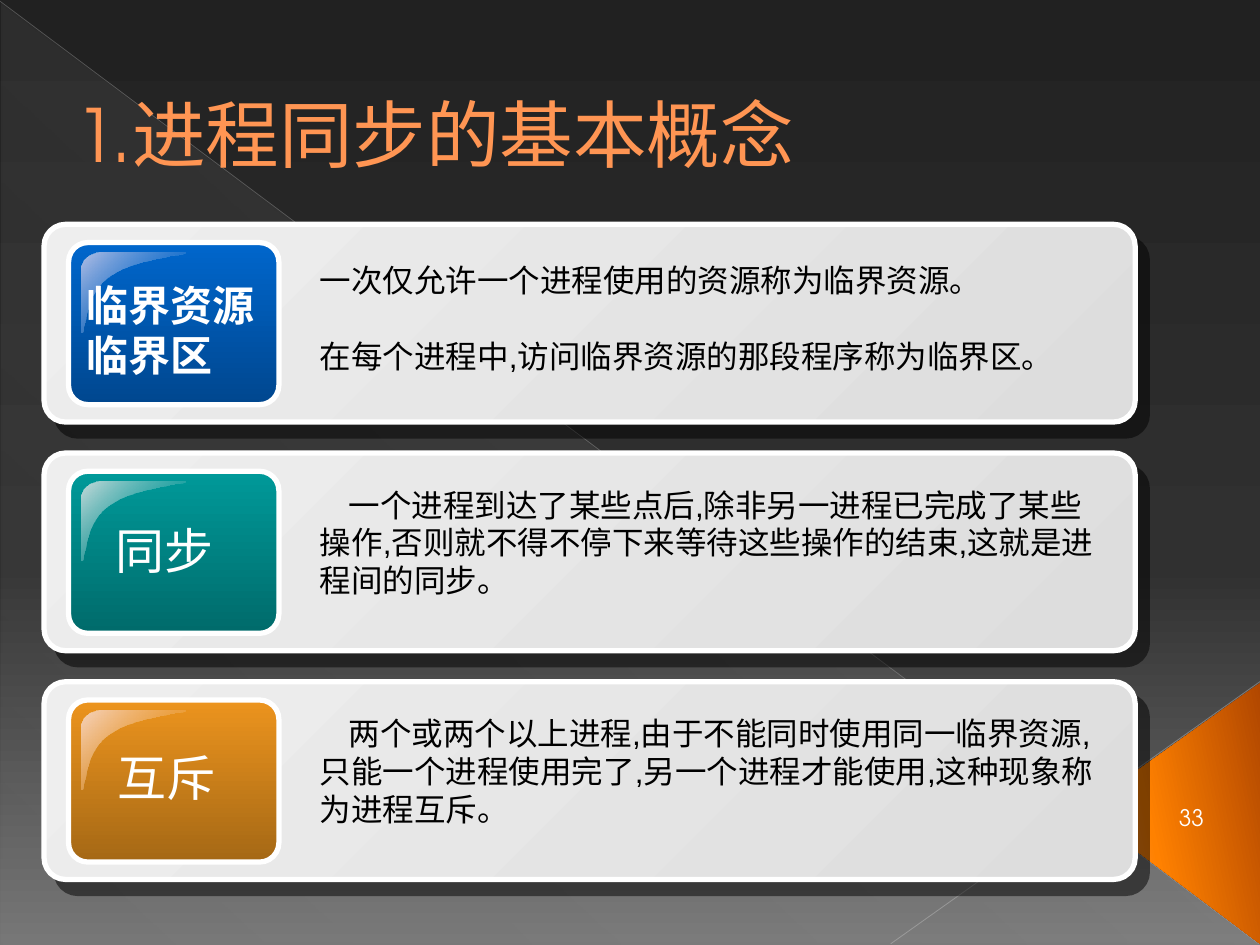
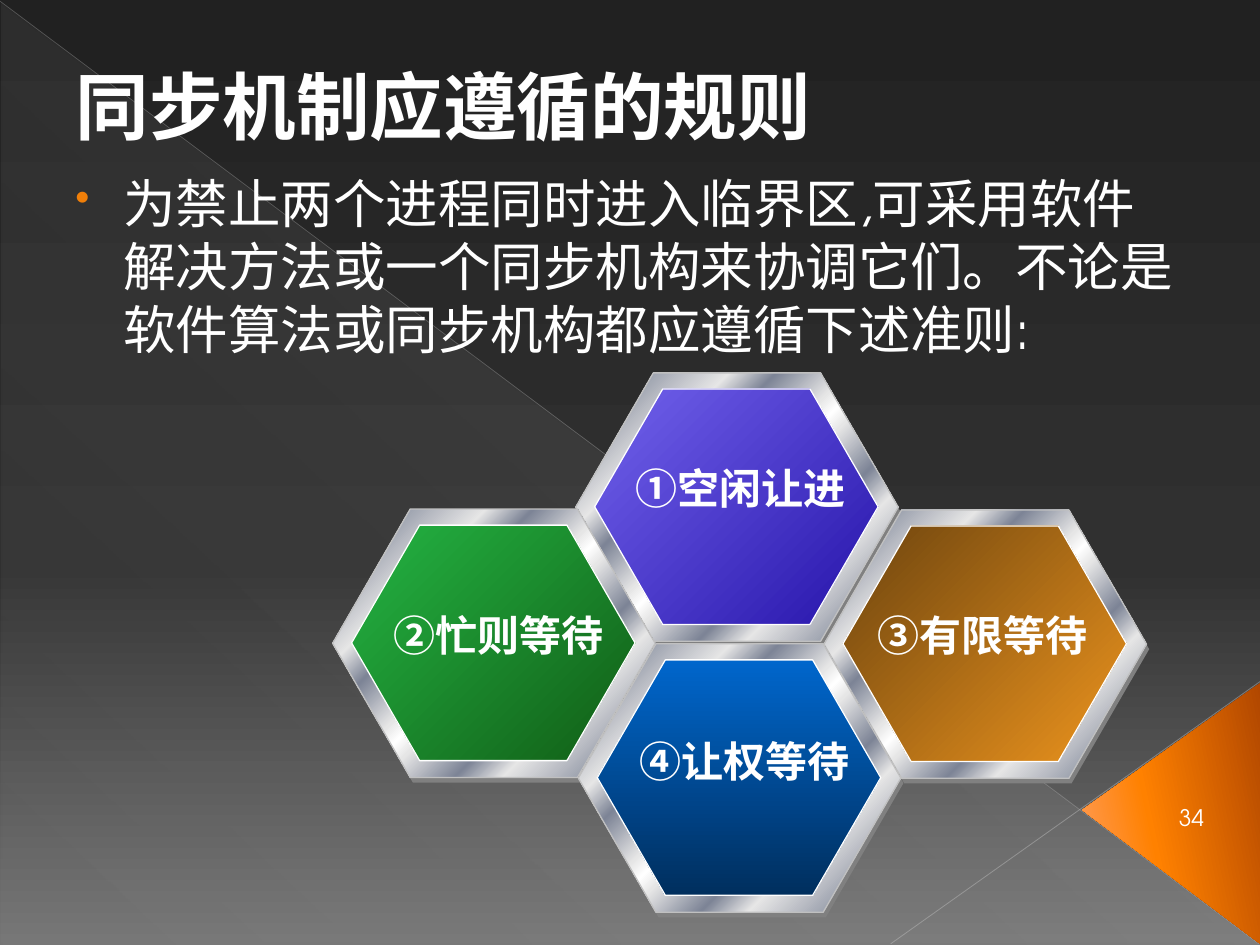
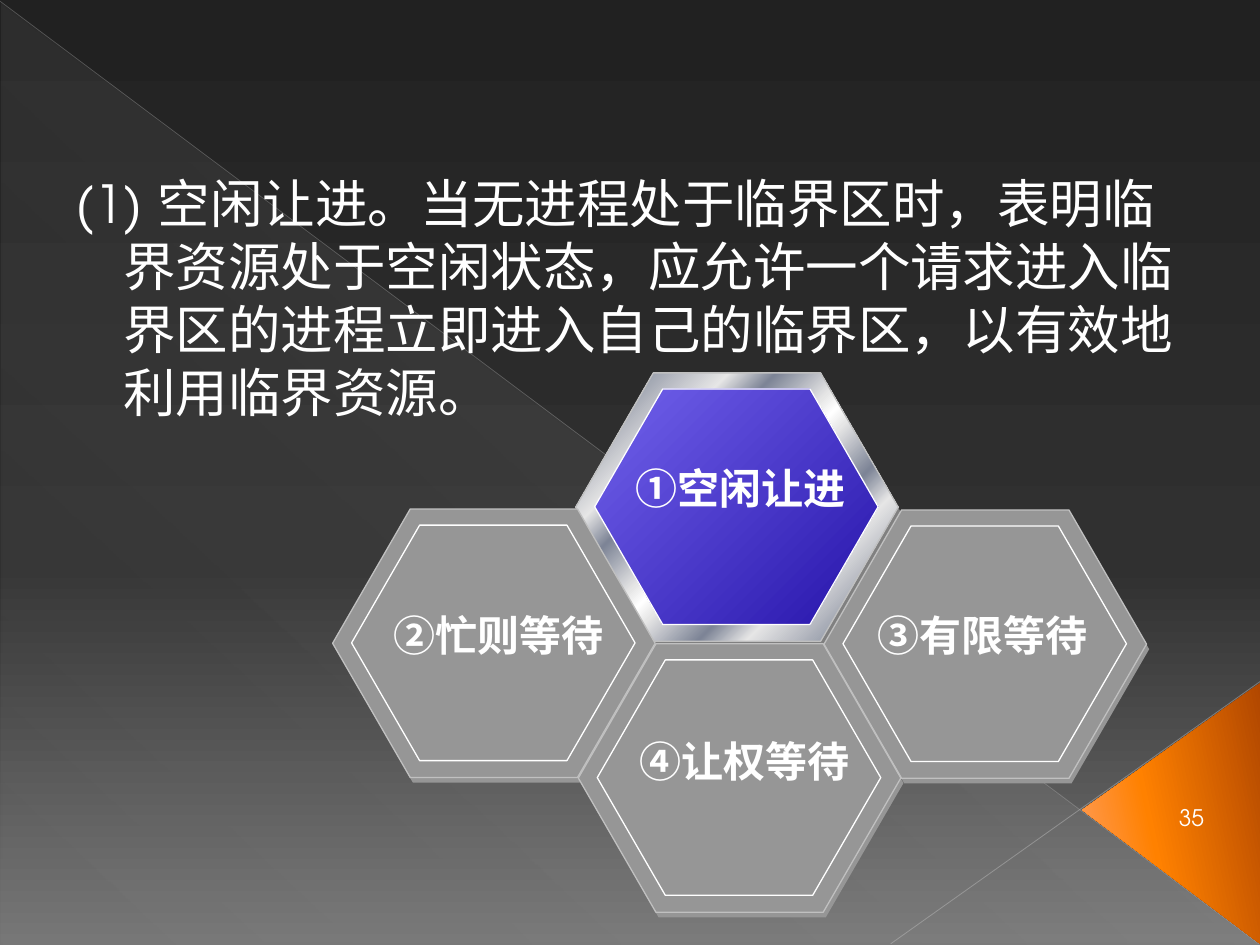
from lxml import etree
from pptx import Presentation
from pptx.dml.color import RGBColor
from pptx.enum.shapes import MSO_CONNECTOR, MSO_SHAPE
from pptx.enum.text import MSO_ANCHOR, MSO_AUTO_SIZE, PP_ALIGN
from pptx.oxml.ns import qn
from pptx.util import Pt

HEXAGON, ROUNDED = MSO_SHAPE.HEXAGON, MSO_SHAPE.ROUNDED_RECTANGLE
TRIANGLE, RIGHT_TRIANGLE = MSO_SHAPE.ISOSCELES_TRIANGLE, MSO_SHAPE.RIGHT_TRIANGLE
STRAIGHT = MSO_CONNECTOR.STRAIGHT
TOP, MIDDLE = MSO_ANCHOR.TOP, MSO_ANCHOR.MIDDLE
LEFT, CENTER = PP_ALIGN.LEFT, PP_ALIGN.CENTER
NO_AUTOFIT = MSO_AUTO_SIZE.NONE
TITLE_ONLY, BLANK = 5, 6

HEADING_FONT, LABEL_FONT = "TeX Gyre Adventor", "Arial"
HANGING = 27.36

WHITE = RGBColor(0xFF, 0xFF, 0xFF)
BLACK = RGBColor(0x00, 0x00, 0x00)
TITLE_ORANGE = RGBColor(0xFF, 0x95, 0x53)
BULLET_ORANGE = RGBColor(0xF0, 0x7F, 0x09)
UPPER_RULE = RGBColor(0xB6, 0xB6, 0xB6)
LOWER_RULE = RGBColor(0xBE, 0xBE, 0xBE)
HEXAGON_SHADOW = RGBColor(0x80, 0x80, 0x80)
HEXAGON_EDGE = RGBColor(0xC0, 0xC0, 0xC0)
INACTIVE = RGBColor(0x96, 0x96, 0x96)
STEEL_LIGHT = RGBColor(0xE6, 0xE6, 0xE6)
STEEL_DARK = RGBColor(0x7D, 0x84, 0x96)
BLUE = RGBColor(0x00, 0x66, 0xCC)
TEAL = RGBColor(0x00, 0x99, 0x99)
ORANGE = RGBColor(0xEC, 0x94, 0x1E)

BACKGROUND = [(0, RGBColor(0x21, 0x21, 0x21)), (60, RGBColor(0x30, 0x30, 0x30)),
              (100, RGBColor(0x75, 0x75, 0x75))]
SHEEN = [(0, WHITE, 10), (70, WHITE, 4), (100, WHITE, 1)]
CORNER = [(0, RGBColor(0xB1, 0x47, 0x00)), (60, RGBColor(0xFF, 0x81, 0x00)),
          (100, RGBColor(0xFF, 0xA0, 0x66))]
CARD = [(0, RGBColor(0xEE, 0xEE, 0xEE)), (100, RGBColor(0xDD, 0xDD, 0xDD))]
STEEL = [(0, STEEL_LIGHT), (7, STEEL_DARK), (26, STEEL_LIGHT), (34, STEEL_DARK),
         (46, STEEL_LIGHT), (50, WHITE), (54, STEEL_LIGHT), (66, STEEL_DARK),
         (74, STEEL_LIGHT), (93, STEEL_DARK), (100, STEEL_LIGHT)]
VIOLET_FACE = [(0, RGBColor(0x72, 0x62, 0xEC)), (100, RGBColor(0x26, 0x14, 0xAA))]
GREEN_FACE = [(0, RGBColor(0x24, 0xB4, 0x43)), (100, RGBColor(0x11, 0x5D, 0x16))]
AMBER_FACE = [(0, RGBColor(0x6D, 0x44, 0x0E)), (100, ORANGE)]
BLUE_FACE = [(0, BLUE), (100, RGBColor(0x00, 0x2F, 0x5E))]

CARD_LEFT, CARD_TOP, CARD_PITCH = 25.2, 128.2, 130.7
CARDS = [
    dict(colour=BLUE, shade=RGBColor(0x00, 0x47, 0x8F), gloss=RGBColor(0xB5, 0xC0, 0xE5),
         label=["临界资源", "临界区"], label_box=(17.3, 28, 111, 65), label_size=24,
         bold=True, align=LEFT, text_top=17.3, indent=0,
         text=["一次仅允许一个进程使用的资源称为临界资源。",
               "在每个进程中,访问临界资源的那段程序称为临界区。"]),
    dict(colour=TEAL, shade=RGBColor(0x00, 0x6B, 0x6B), gloss=RGBColor(0xC9, 0xDB, 0xDB),
         label=["同步"], label_box=(30, 35.2, 78, 41), label_size=28,
         bold=False, align=CENTER, text_top=15.1, indent=16.5,
         text=["一个进程到达了某些点后,除非另一进程已完成了某些操作,"
               "否则就不得不停下来等待这些操作的结束,这就是进程间的同步。"]),
    dict(colour=ORANGE, shade=RGBColor(0xA5, 0x68, 0x15), gloss=RGBColor(0xF6, 0xD4, 0xBF),
         label=["互斥"], label_box=(31, 33.8, 78, 41), label_size=28,
         bold=False, align=CENTER, text_top=15.1, indent=16.5,
         text=["两个或两个以上进程,由于不能同时使用同一临界资源,"
               "只能一个进程使用完了,另一个进程才能使用,这种现象称为进程互斥。"]),
]

RULES = [
    ("①空闲让进", (329, 213.1), (26.8, 47.5), VIOLET_FACE, 45),
    ("②忙则等待", (190.1, 290.9), (27.5, 54), GREEN_FACE, 45),
    ("③有限等待", (470.9, 291.4), (23, 53.5), AMBER_FACE, 45),
    ("④让权等待", (330.5, 367.9), (27.4, 49), BLUE_FACE, 90),
]


def add_colour(parent, colour, opacity=100):
    """Append a colour element with an opacity in percent."""
    element = etree.SubElement(parent, qn("a:srgbClr"), val=str(colour))
    if opacity < 100:
        etree.SubElement(element, qn("a:alpha"), val=str(opacity * 1000))


def set_gradient(owner, fill, stops, angle):
    """Give the owner's fill a linear gradient of any number of stops."""
    fill.gradient()
    gradient = next(owner.element.iter(qn("a:gradFill")))
    stop_list = gradient.find(qn("a:gsLst"))
    for stop in list(stop_list):
        stop_list.remove(stop)
    for position, *colour in stops:
        add_colour(etree.SubElement(stop_list, qn("a:gs"), pos=str(position * 1000)), *colour)
    gradient.find(qn("a:lin")).set("ang", str(angle * 60000))


def paint(shape, fill, angle=0, line=None, width=0.75):
    """Set fill and outline of a shape and take its shadow away."""
    shape.shadow.inherit = False
    if isinstance(fill, list):
        set_gradient(shape, shape.fill, fill, angle)
    else:
        shape.fill.solid()
        shape.fill.fore_color.rgb = fill
    if line is None:
        shape.line.fill.background()
    else:
        shape.line.color.rgb = line
        shape.line.width = Pt(width)


def add_preset(slide, preset, box, adjustments=()):
    """Add a preset shape in a box given in points."""
    shape = slide.shapes.add_shape(preset, *map(Pt, box))
    for index, value in enumerate(adjustments):
        shape.adjustments[index] = value
    return shape


def add_rule(slide, start, end, colour, width, opacity):
    """Add a thin translucent line."""
    line = slide.shapes.add_connector(STRAIGHT, *map(Pt, start + end))
    line.line.color.rgb = colour
    line.line.width = Pt(width)
    properties = line.element.spPr
    etree.SubElement(next(properties.iter(qn("a:srgbClr"))), qn("a:alpha"),
                     val=str(opacity * 1000))
    etree.SubElement(properties, qn("a:effectLst"))
    return line


def add_run(paragraph, text, size, colour, font=LABEL_FONT, bold=False):
    """Add one formatted run."""
    run = paragraph.add_run()
    run.text = text
    run.font.name, run.font.size, run.font.bold = font, Pt(size), bold
    run.font.color.rgb = colour


def add_text(slide, box, lines, size, colour, font=LABEL_FONT, bold=False,
             align=LEFT, anchor=TOP, wrap=True, gap=0):
    """Add a text box with one paragraph per line and return its frame."""
    frame = slide.shapes.add_textbox(*map(Pt, box)).text_frame
    frame.word_wrap, frame.vertical_anchor = wrap, anchor
    for index, line in enumerate(lines):
        paragraph = frame.add_paragraph() if index else frame.paragraphs[0]
        paragraph.alignment = align
        if index and gap:
            paragraph.space_before = Pt(gap)
        add_run(paragraph, line, size, colour, font, bold)
    return frame


def set_indent(paragraph, margin, first_line):
    """Set left margin and first-line indent in points."""
    properties = paragraph._p.get_or_add_pPr()
    properties.set("marL", str(Pt(margin)))
    properties.set("indent", str(Pt(first_line)))
    return properties


def add_bullet(properties):
    """Put a small orange dot before a paragraph."""
    add_colour(etree.SubElement(properties, qn("a:buClr")), BULLET_ORANGE)
    etree.SubElement(properties, qn("a:buSzPct"), val="80000")
    etree.SubElement(properties, qn("a:buChar"), char="•")


def build_backdrop(presentation, slide):
    """Draw the shared backdrop and move it to the slide master."""
    master = presentation.slide_master
    set_gradient(master, master.background.fill, BACKGROUND, 90)
    sheen = add_preset(slide, RIGHT_TRIANGLE, (0.7, 1.4, 719.3, 538.6))
    paint(sheen, SHEEN, 133)
    upper = add_rule(slide, (0, 0.7), (719.3, 539.3), UPPER_RULE, 0.39, 35)
    lower = add_rule(slide, (720, 389.5), (509, 539.3), LOWER_RULE, 0.47, 45)
    corner = add_preset(slide, TRIANGLE, (594.7, 414, 149, 101.5), [0.513])
    corner.rotation = 270
    paint(corner, CORNER, 258)
    for shape in (sheen, upper, lower, corner):
        master.shapes.element.append(shape.element)


def add_title(slide, text, height, colour, bold=False):
    """Move and format the title placeholder."""
    title = slide.shapes.title
    title.left, title.top, title.width, title.height = map(Pt, (36, 20.9, 648, height))
    frame = title.text_frame
    frame.auto_size, frame.vertical_anchor = NO_AUTOFIT, MIDDLE
    paragraph = frame.paragraphs[0]
    paragraph.alignment = LEFT
    set_indent(paragraph, HANGING, -HANGING)
    add_run(paragraph, text, 42, colour, HEADING_FONT, bold)


def add_slide_number(slide, number):
    """Write the slide number on the orange corner."""
    add_text(slide, (661, 452.9, 39.6, 28.8), [str(number)], 13, WHITE, HEADING_FONT,
             align=CENTER, anchor=MIDDLE)


def add_body(slide, text, height, bulleted=False):
    """Add the hanging body paragraph."""
    frame = add_text(slide, (36, 94.3, 648, height), [text], 30, WHITE, HEADING_FONT)
    properties = set_indent(frame.paragraphs[0], HANGING, -HANGING)
    if bulleted:
        add_bullet(properties)


def curve(start, first, second, end, steps=12):
    """Return points along a cubic curve, without its start."""
    points = []
    for step in range(1, steps + 1):
        t = step / steps
        weights = ((1 - t) ** 3, 3 * t * (1 - t) ** 2, 3 * t * t * (1 - t), t ** 3)
        points.append(tuple(sum(weight * point[axis] for weight, point
                                in zip(weights, (start, first, second, end)))
                            for axis in (0, 1)))
    return points


def add_gloss(slide, left, top, light, colour):
    """Add the curved highlight of a badge."""
    start, side, foot, bend = (11.5, 0), (0, 9.3), (0, 45.3), (15.8, 13.6)
    outline = [start, *curve(start, (5, 0), (0, 4.3), side), foot,
               *curve(foot, (2.9, 46), (0.7, 23.7), bend),
               *curve(bend, (31, 2.8), (59.8, 2.1), (59, 0))]
    points = [(Pt(left + x), Pt(top + y)) for x, y in outline]
    builder = slide.shapes.build_freeform(*points[0], scale=1.0)
    builder.add_line_segments(points[1:], close=True)
    paint(builder.convert_to_shape(), [(0, light), (100, colour, 0)], 45)


def add_card(slide, left, top, card):
    """Add a definition card: panel, badge, highlight and texts."""
    panel = add_preset(slide, ROUNDED, (left, top, 623.5, 113), [0.109])
    paint(panel, CARD, 45, WHITE, 3)
    effects = panel.element.spPr.find(qn("a:effectLst"))
    shadow = etree.SubElement(effects, qn("a:outerShdw"), blurRad="0", dist=str(Pt(10.6)),
                              dir=str(49 * 60000), algn="ctr", rotWithShape="0")
    add_colour(shadow, BLACK, 50)
    badge = add_preset(slide, ROUNDED, (left + 14, top + 10.4, 120.2, 92.6), [0.119])
    paint(badge, [(0, card["colour"]), (100, card["shade"])], 90, WHITE, 3)
    add_gloss(slide, left + 21.6, top + 16.4, card["gloss"], card["colour"])
    x, y, width, height = card["label_box"]
    add_text(slide, (left + x, top + y, width, height), card["label"], card["label_size"],
             WHITE, bold=card["bold"], align=card["align"], wrap=False)
    frame = add_text(slide, (left + 150.5, top + card["text_top"], 458.6, 72),
                     card["text"], 18, BLACK, gap=21.7)
    for paragraph in frame.paragraphs:
        set_indent(paragraph, 0, card["indent"])


def add_hexagon(slide, left, top, width, height, fill, angle=0, line=None):
    """Add one regular hexagon."""
    shape = add_preset(slide, HEXAGON, (left, top, width, height), [0.289, 1.1547])
    paint(shape, fill, angle, line)


def add_rule_tile(slide, rule, active):
    """Add a rule's framed hexagon, grey when it is not active."""
    label, (left, top), (label_x, label_y), face, angle = rule
    shadow, frame, face = (HEXAGON_SHADOW, STEEL, face) if active else (INACTIVE,) * 3
    add_hexagon(slide, left + 1.5, top + 2.9, 184.3, 153.4, shadow)
    add_hexagon(slide, left, top, 184.3, 153.4, frame, 45, HEXAGON_EDGE)
    add_hexagon(slide, left + 10.8, top + 9.2, 162, 134.6, face, angle, WHITE)
    add_text(slide, (left + label_x, top + label_y, 135, 36), [label], 24, WHITE,
             bold=True, align=CENTER, wrap=False)


def build_concepts(slide):
    """Fill the slide of basic concepts."""
    add_slide_number(slide, 33)
    add_title(slide, "1.进程同步的基本概念", 110.2, TITLE_ORANGE)
    for index, card in enumerate(CARDS):
        add_card(slide, CARD_LEFT, CARD_TOP + index * CARD_PITCH, card)


def build_rules(slide):
    """Fill the slide that lists the four rules."""
    add_slide_number(slide, 34)
    add_title(slide, "同步机制应遵循的规则", 78.5, WHITE, bold=True)
    add_body(slide, "为禁止两个进程同时进入临界区,可采用软件解决方法或一个同步机构来协调它们。"
             "不论是软件算法或同步机构都应遵循下述准则:", 414, bulleted=True)
    for rule in RULES:
        add_rule_tile(slide, rule, active=True)


def build_first_rule(slide):
    """Fill the slide that explains the first rule."""
    add_slide_number(slide, 35)
    add_body(slide, "(1) 空闲让进。当无进程处于临界区时，表明临界资源处于空闲状态，"
             "应允许一个请求进入临界区的进程立即进入自己的临界区，以有效地利用临界资源。", 158.4)
    for index, rule in enumerate(RULES):
        add_rule_tile(slide, rule, active=index == 0)


def main():
    """Build the presentation and save it."""
    presentation = Presentation()
    presentation.slide_width, presentation.slide_height = Pt(720), Pt(540)
    layouts = presentation.slide_layouts
    concepts, rules, first_rule = (presentation.slides.add_slide(layouts[index])
                                   for index in (TITLE_ONLY, TITLE_ONLY, BLANK))
    build_backdrop(presentation, concepts)
    build_concepts(concepts)
    build_rules(rules)
    build_first_rule(first_rule)
    presentation.save("out.pptx")


if __name__ == "__main__":
    main()
